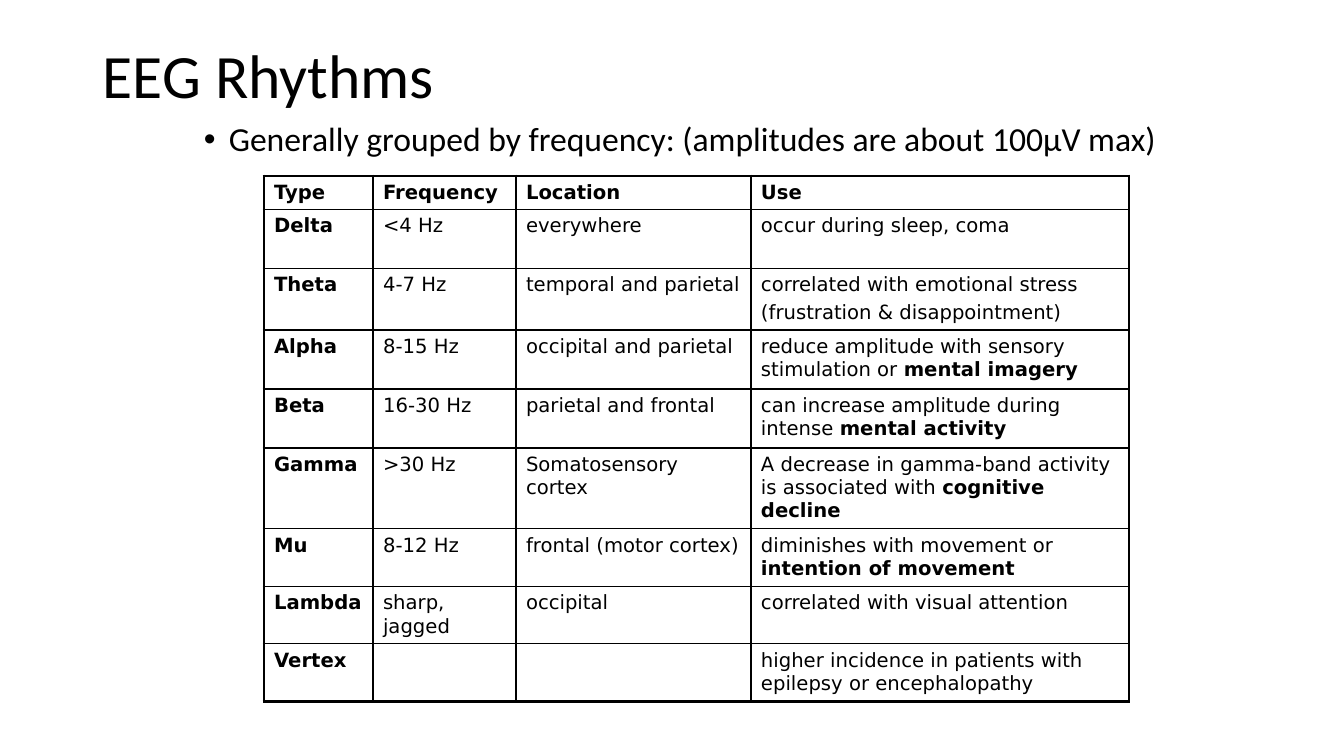
from lxml.etree import SubElement
from pptx import Presentation
from pptx.dml.color import RGBColor
from pptx.enum.text import MSO_ANCHOR
from pptx.oxml.ns import qn
from pptx.util import Pt

TITLE = "EEG Rhythms"
POINT = "Generally grouped by frequency: (amplitudes are about 100µV max)"
ROWS = [
    ("Type", "Frequency", "Location", "Use"),
    ("Delta", "<4 Hz", "everywhere", "occur during sleep, coma"),
    ("Theta", "4-7 Hz", "temporal and parietal",
     "correlated with emotional stress\n(frustration & disappointment)"),
    ("Alpha", "8-15 Hz", "occipital and parietal",
     "reduce amplitude with sensory stimulation or *mental imagery"),
    ("Beta", "16-30 Hz", "parietal and frontal",
     "can increase amplitude during intense *mental activity"),
    ("Gamma", ">30 Hz", "Somatosensory cortex",
     "A decrease in gamma-band activity is associated with *cognitive decline"),
    ("Mu", "8-12 Hz", "frontal (motor cortex)",
     "diminishes with movement or *intention of movement"),
    ("Lambda", "sharp, jagged", "occipital", "correlated with visual attention"),
    ("Vertex", "", "",
     "higher incidence in patients with epilepsy or encephalopathy"),
]
WIDTHS = [109, 143, 235, 378]
HEIGHTS = [33, 59, 60, 59, 59, 79, 58, 57, 58]
INK = "000000"
HEAD = {"name": "Calibri", "size": Pt(44)}
BODY = {"name": "Calibri", "size": Pt(24)}
CELL = {"name": "DejaVu Sans", "size": Pt(14)}
THIN, THICK = Pt(1), Pt(2.25)


def px(n):
    """Turn pixels into EMU."""
    return round(n * 914400 / 100.8)


def color(code):
    """Turn a hex string into a colour."""
    return RGBColor.from_string(code)


def write(para, text, style, bold=False):
    """Add a styled run to a paragraph."""
    run = para.add_run()
    run.text = text
    for key, value in style.items():
        setattr(run.font, key, value)
    run.font.bold = bold
    run.font.color.rgb = color(INK)


def box(slide, place, text, style, anchor):
    """Add a one-line text box and return its paragraph."""
    frame = slide.shapes.add_textbox(*map(px, place)).text_frame
    frame.word_wrap = True
    frame.vertical_anchor = anchor
    para = frame.paragraphs[0]
    para.line_spacing = 0.9
    write(para, text, style)
    return para


def bullet(para):
    """Give a paragraph a hanging bullet."""
    props = para._p.get_or_add_pPr()
    props.set("marL", str(px(25)))
    props.set("indent", str(px(-25)))
    SubElement(props, qn("a:buFont"), typeface="Arial")
    SubElement(props, qn("a:buChar"), char="•")


def border(cell, sides):
    """Draw the four cell edges with the given widths."""
    props = cell._tc.get_or_add_tcPr()
    for side, width in sides.items():
        line = SubElement(props, qn("a:ln" + side), w=str(width))
        fill = SubElement(line, qn("a:solidFill"))
        SubElement(fill, qn("a:srgbClr"), val=INK)


def fill_cell(cell, text, bold):
    """Write cell text, with the part after a star in bold."""
    for i, line in enumerate(text.split("\n")):
        frame = cell.text_frame
        para = frame.add_paragraph() if i else frame.paragraphs[0]
        if i:
            para.space_before = Pt(3)
        for j, part in enumerate(line.split("*")):
            if part:
                write(para, part, CELL, bold or j == 1)


def grid(slide, left, top):
    """Build the rhythm table."""
    size = (px(sum(WIDTHS)), px(sum(HEIGHTS)))
    table = slide.shapes.add_table(
        len(ROWS), len(WIDTHS), px(left), px(top), *size).table
    table.first_row = table.horz_banding = False
    for col, width in zip(table.columns, WIDTHS):
        col.width = px(width)
    for row, height in zip(table.rows, HEIGHTS):
        row.height = px(height)
    for r, row in enumerate(ROWS):
        for c, text in enumerate(row):
            cell = table.cell(r, c)
            fill_cell(cell, text, r == 0 or c == 0)
            edges = {"L": c == 0, "R": c == len(WIDTHS) - 1,
                     "T": r == 0, "B": r == len(ROWS) - 1}
            border(cell, {k: THICK if v else THIN for k, v in edges.items()})
            cell.fill.background()


def main():
    """Build and save the slide."""
    deck = Presentation()
    deck.slide_width, deck.slide_height = px(1344), px(756)
    slide = deck.slides.add_slide(deck.slide_layouts[6])
    box(slide, (93, 40, 1159, 78), TITLE, HEAD, MSO_ANCHOR.MIDDLE)
    bullet(box(slide, (194, 118, 1008, 84), POINT, BODY, MSO_ANCHOR.TOP))
    grid(slide, 264, 176)
    deck.save("out.pptx")


if __name__ == "__main__":
    main()
